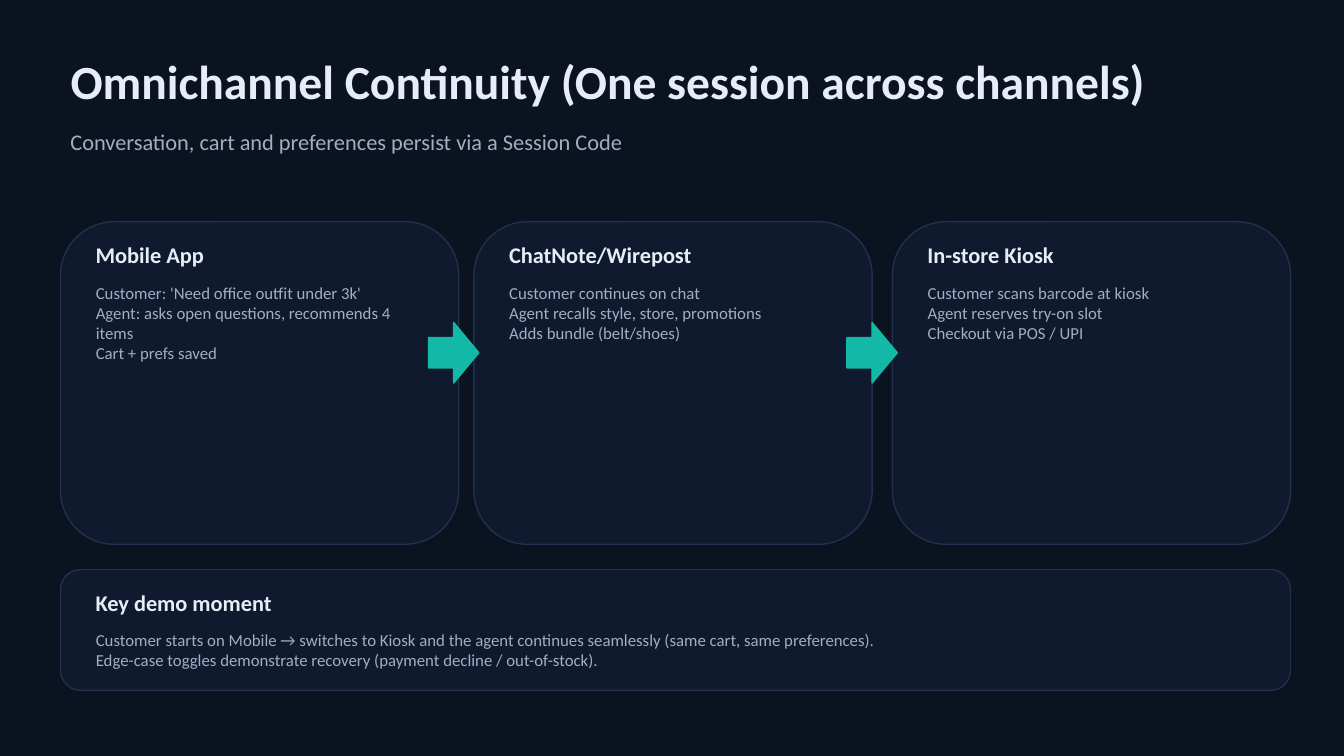
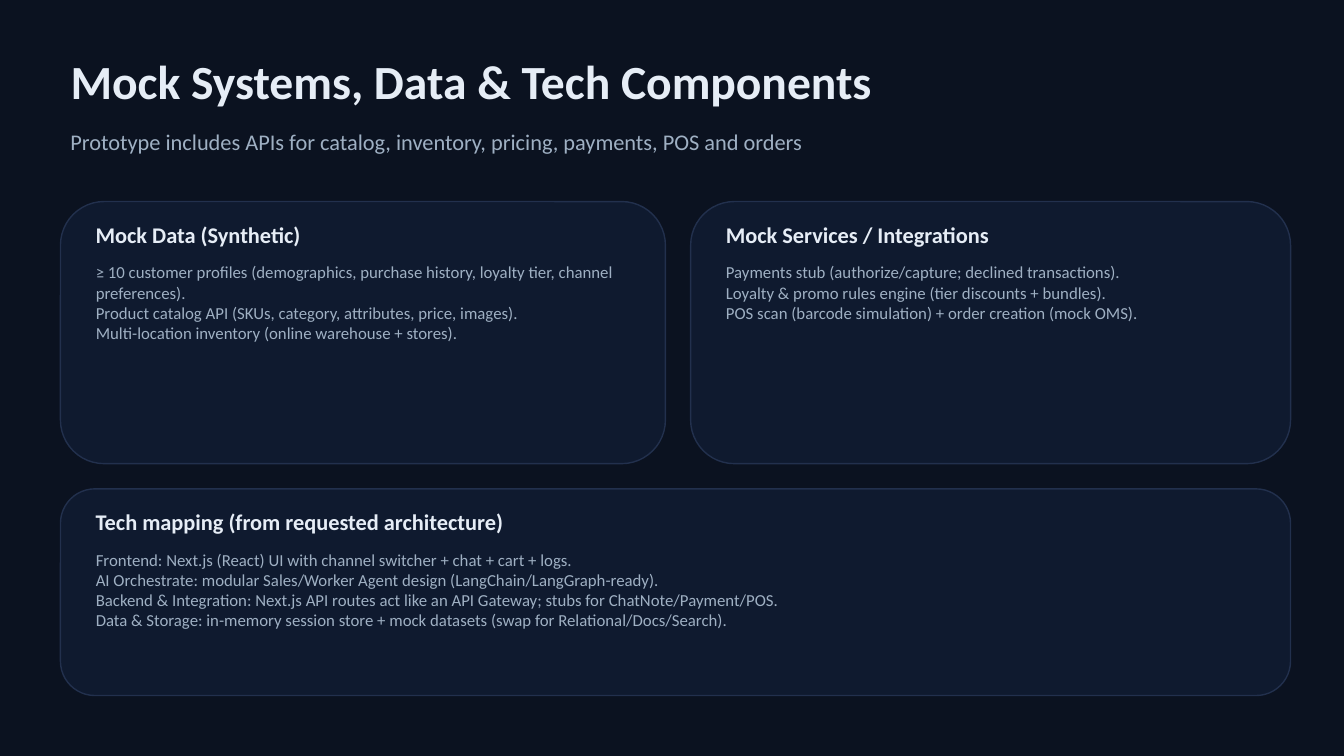
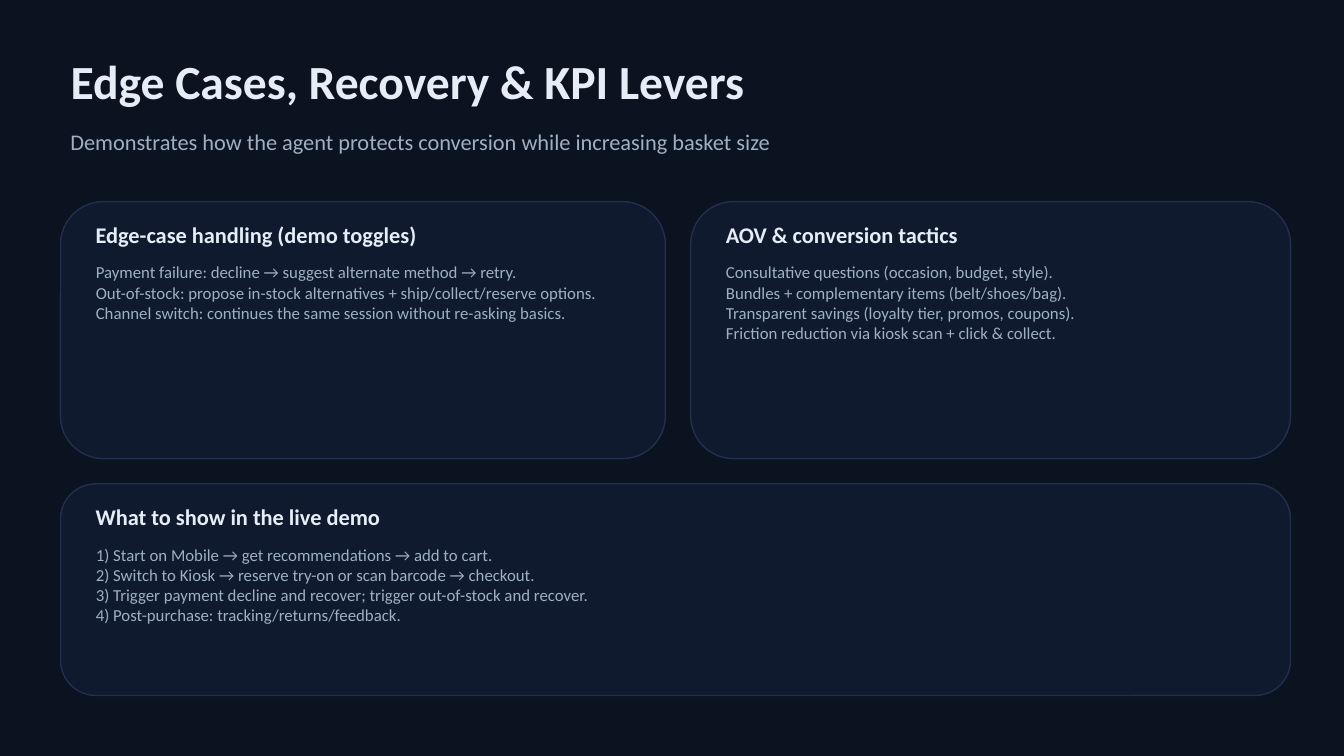
from dataclasses import dataclass

from lxml import etree
from pptx import Presentation
from pptx.dml.color import RGBColor
from pptx.enum import shapes, text
from pptx.oxml import ns
from pptx.util import Inches, Pt


# Theme: colours, type and spacing shared by all slides
@dataclass(frozen=True)
class Theme:
    font: str = "Calibri"
    background: str = "0B1220"
    panel: str = "0F1A2F"
    border: str = "22304D"
    bright: str = "E6EDF6"
    muted: str = "9FB0C3"
    accent: str = "14B8A6"
    title_size: int = 34
    heading_size: int = 16
    body_size: int = 12
    left: float = 0.6
    width: float = 12.2


THEME = Theme()
COMPARISON_LAYOUT = 4  # one title and four body placeholders


@dataclass(frozen=True)
class Area:
    left: float
    top: float
    width: float
    height: float

    def lengths(self) -> tuple:
        return tuple(Inches(v) for v in (self.left, self.top, self.width, self.height))


@dataclass(frozen=True)
class Card:
    area: Area
    heading: str
    lines: tuple[str, ...]
    arrow_before: bool = False


@dataclass(frozen=True)
class PageContent:
    title: str
    subtitle: str
    cards: tuple[Card, ...]


# Drawing functions
def place(box, area: Area) -> None:
    box.left, box.top, box.width, box.height = area.lengths()


def write(box, content: str, size: int, colour: str, bold: bool = False,
          anchor=text.MSO_ANCHOR.MIDDLE) -> None:
    frame = box.text_frame
    frame.text = content
    frame.word_wrap = True
    frame.auto_size = text.MSO_AUTO_SIZE.NONE
    frame.vertical_anchor = anchor
    for para in frame.paragraphs:
        para.alignment = text.PP_ALIGN.LEFT
        para.space_before = Pt(0)
        for span in para.runs:
            span.font.name = THEME.font
            span.font.size = Pt(size)
            span.font.bold = bold
            span.font.color.rgb = RGBColor.from_string(colour)


def remove_bullets(box) -> None:
    for para in box.text_frame.paragraphs:
        properties = para._p.get_or_add_pPr()
        properties.set("marL", "0")
        properties.set("indent", "0")
        etree.SubElement(properties, ns.qn("a:buNone"))


def add_label(page, area: Area, content: str, colour: str, bold: bool) -> None:
    box = page.shapes.add_textbox(*area.lengths())
    write(box, content, THEME.heading_size, colour, bold)


def add_panel(page, kind, area: Area, fill: str, line: str) -> None:
    panel = page.shapes.add_shape(kind, *area.lengths())
    panel.shadow.inherit = False
    panel.fill.solid()
    panel.fill.fore_color.rgb = RGBColor.from_string(fill)
    panel.line.color.rgb = RGBColor.from_string(line)
    panel.line.width = Pt(1)


def add_card(page, card: Card, body) -> None:
    area = card.area
    left, width = area.left + 0.25, area.width - 0.5
    add_panel(page, shapes.MSO_SHAPE.ROUNDED_RECTANGLE, area, THEME.panel, THEME.border)
    add_label(page, Area(left, area.top + 0.15, width, 0.35), card.heading, THEME.bright, True)
    place(body, Area(left, area.top + 0.55, width, area.height - 0.7))
    write(body, "\n".join(card.lines), THEME.body_size, THEME.muted,
          anchor=text.MSO_ANCHOR.TOP)
    remove_bullets(body)
    page.shapes.element.append(body.element)  # bring the list in front of its panel


def add_arrow(page, next_card: Area) -> None:
    area = Area(next_card.left - 0.45, next_card.top + 1, 0.5, 0.6)
    add_panel(page, shapes.MSO_SHAPE.RIGHT_ARROW, area, THEME.accent, THEME.accent)


def add_page(deck, content: PageContent) -> None:
    page = deck.slides.add_slide(deck.slide_layouts[COMPARISON_LAYOUT])
    title = page.shapes.title
    place(title, Area(THEME.left, 0.4, THEME.width, 0.8))
    write(title, content.title, THEME.title_size, THEME.bright, True)
    add_label(page, Area(THEME.left, 1.15, THEME.width, 0.5), content.subtitle,
              THEME.muted, False)

    bodies = [box for box in page.placeholders if box.placeholder_format.idx > 0]
    for card, body in zip(content.cards, bodies):
        add_card(page, card, body)
    for unused in bodies[len(content.cards):]:
        page.shapes.element.remove(unused.element)
    for card in content.cards:
        if card.arrow_before:
            add_arrow(page, card.area)


# Card areas
def channel_area(left: float) -> Area:
    return Area(left, 2.2, 3.95, 3.2)


def left_area(height: float) -> Area:
    return Area(THEME.left, 2, 6, height)


def right_area(height: float) -> Area:
    return Area(6.85, 2, 5.95, height)


def wide_area(top: float, height: float) -> Area:
    return Area(THEME.left, top, THEME.width, height)


# Content
PAGES = (
    PageContent(
        "Omnichannel Continuity (One session across channels)",
        "Conversation, cart and preferences persist via a Session Code",
        (
            Card(channel_area(THEME.left), "Mobile App", (
                "Customer: 'Need office outfit under 3k'",
                "Agent: asks open questions, recommends 4 items",
                "Cart + prefs saved",
            )),
            Card(channel_area(4.7), "ChatNote/Wirepost", (
                "Customer continues on chat",
                "Agent recalls style, store, promotions",
                "Adds bundle (belt/shoes)",
            ), arrow_before=True),
            Card(channel_area(8.85), "In-store Kiosk", (
                "Customer scans barcode at kiosk",
                "Agent reserves try-on slot",
                "Checkout via POS / UPI",
            ), arrow_before=True),
            Card(wide_area(5.65, 1.2), "Key demo moment", (
                "Customer starts on Mobile → switches to Kiosk and the agent continues "
                "seamlessly (same cart, same preferences).",
                "Edge-case toggles demonstrate recovery (payment decline / out-of-stock).",
            )),
        ),
    ),
    PageContent(
        "Mock Systems, Data & Tech Components",
        "Prototype includes APIs for catalog, inventory, pricing, payments, POS and orders",
        (
            Card(left_area(2.6), "Mock Data (Synthetic)", (
                "≥ 10 customer profiles (demographics, purchase history, loyalty tier, "
                "channel preferences).",
                "Product catalog API (SKUs, category, attributes, price, images).",
                "Multi-location inventory (online warehouse + stores).",
            )),
            Card(right_area(2.6), "Mock Services / Integrations", (
                "Payments stub (authorize/capture; declined transactions).",
                "Loyalty & promo rules engine (tier discounts + bundles).",
                "POS scan (barcode simulation) + order creation (mock OMS).",
            )),
            Card(wide_area(4.85, 2.05), "Tech mapping (from requested architecture)", (
                "Frontend: Next.js (React) UI with channel switcher + chat + cart + logs.",
                "AI Orchestrate: modular Sales/Worker Agent design (LangChain/LangGraph-ready).",
                "Backend & Integration: Next.js API routes act like an API Gateway; "
                "stubs for ChatNote/Payment/POS.",
                "Data & Storage: in-memory session store + mock datasets "
                "(swap for Relational/Docs/Search).",
            )),
        ),
    ),
    PageContent(
        "Edge Cases, Recovery & KPI Levers",
        "Demonstrates how the agent protects conversion while increasing basket size",
        (
            Card(left_area(2.55), "Edge-case handling (demo toggles)", (
                "Payment failure: decline → suggest alternate method → retry.",
                "Out-of-stock: propose in-stock alternatives + ship/collect/reserve options.",
                "Channel switch: continues the same session without re-asking basics.",
            )),
            Card(right_area(2.55), "AOV & conversion tactics", (
                "Consultative questions (occasion, budget, style).",
                "Bundles + complementary items (belt/shoes/bag).",
                "Transparent savings (loyalty tier, promos, coupons).",
                "Friction reduction via kiosk scan + click & collect.",
            )),
            Card(wide_area(4.8, 2.1), "What to show in the live demo", (
                "1) Start on Mobile → get recommendations → add to cart.",
                "2) Switch to Kiosk → reserve try-on or scan barcode → checkout.",
                "3) Trigger payment decline and recover; trigger out-of-stock and recover.",
                "4) Post-purchase: tracking/returns/feedback.",
            )),
        ),
    ),
)


def main() -> None:
    deck = Presentation()
    deck.slide_width, deck.slide_height = Inches(13.33), Inches(7.5)
    backdrop = deck.slide_master.background.fill
    backdrop.solid()
    backdrop.fore_color.rgb = RGBColor.from_string(THEME.background)
    for content in PAGES:
        add_page(deck, content)
    deck.save("out.pptx")


if __name__ == "__main__":
    main()
